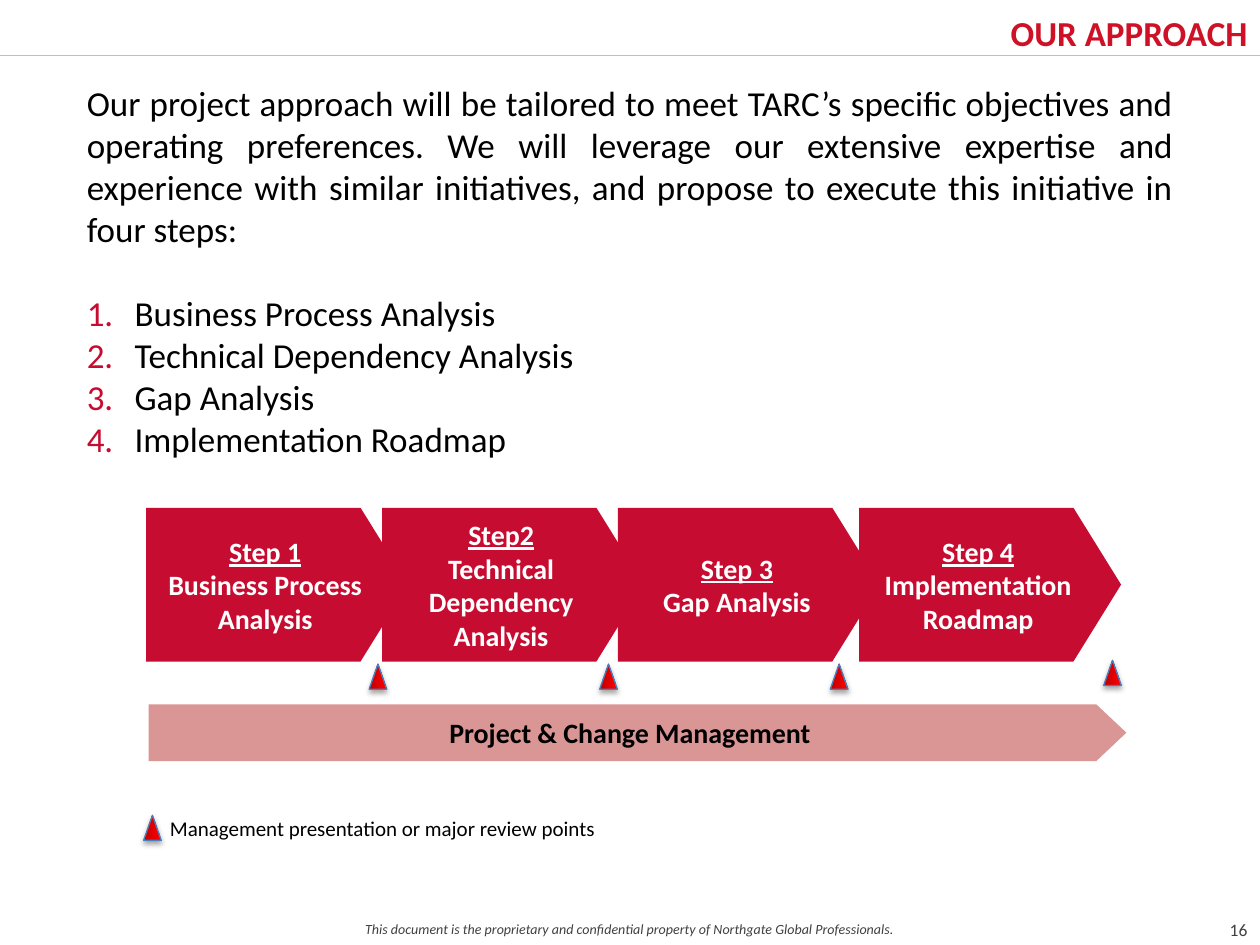
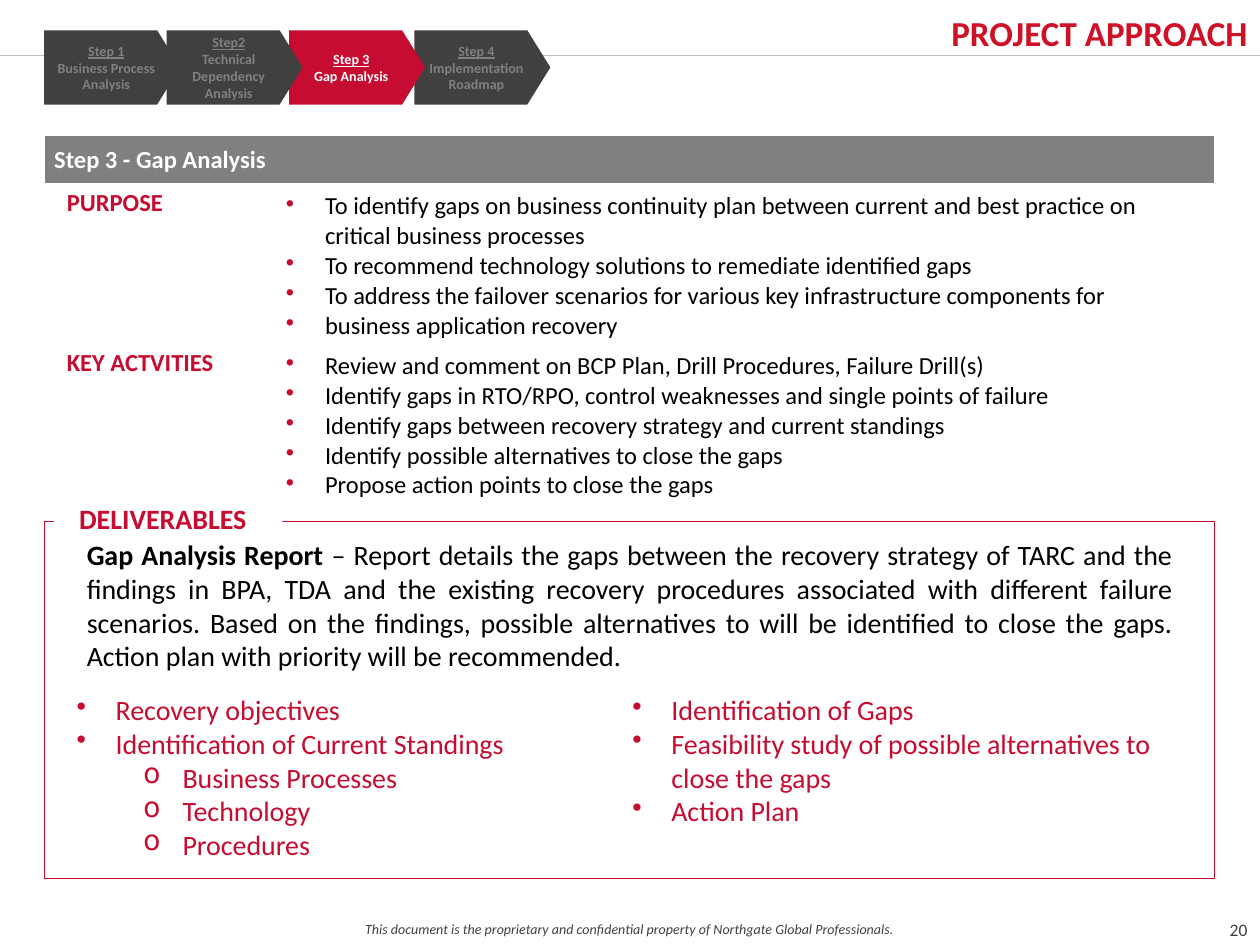
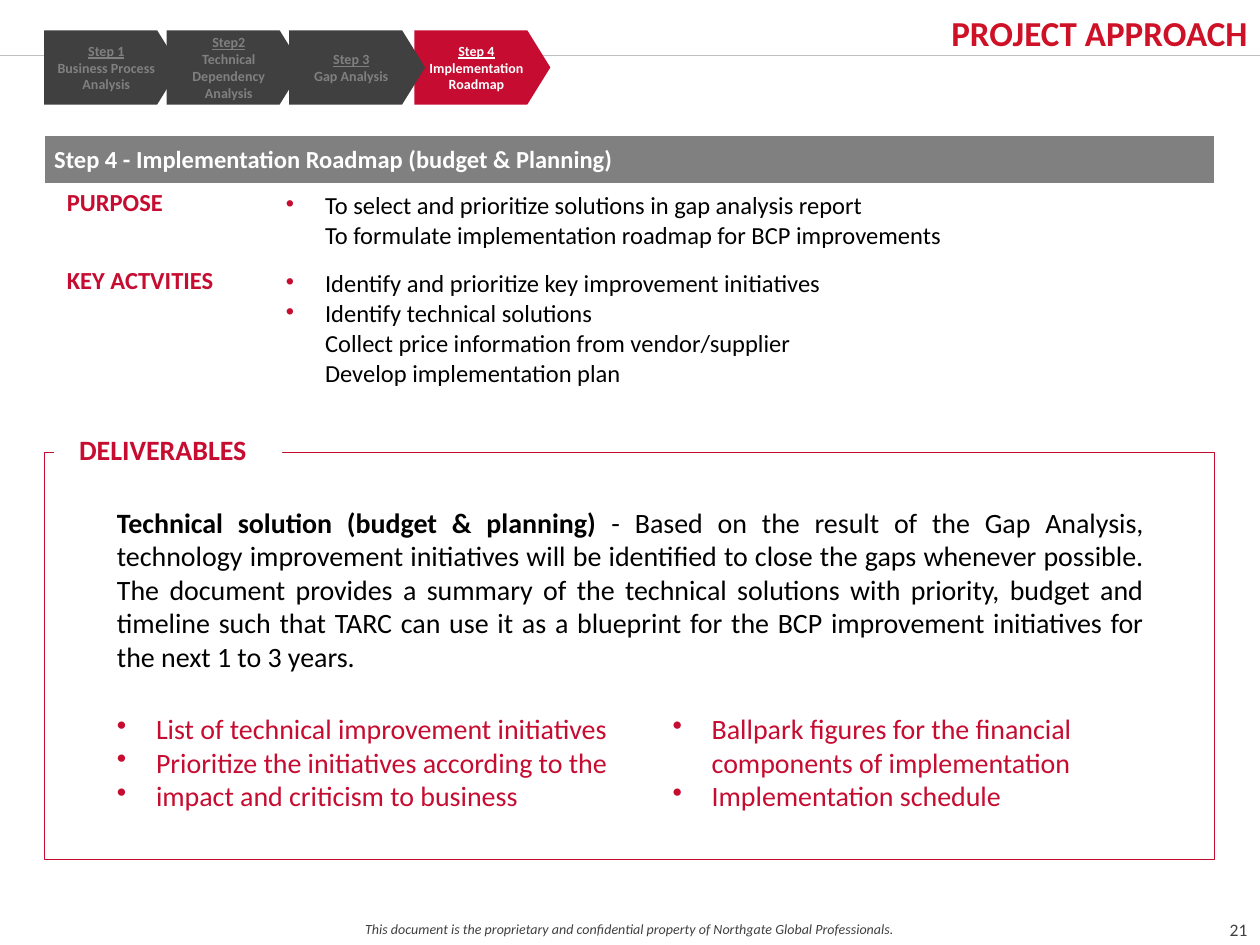
from dataclasses import dataclass

import pptx
import pptx.dml.color
import pptx.enum.shapes
import pptx.enum.text
import pptx.oxml
import pptx.oxml.ns
import pptx.util
from lxml import etree

SHAPE = pptx.enum.shapes.MSO_SHAPE
ALIGN = pptx.enum.text.PP_ALIGN
ANCHOR = pptx.enum.text.MSO_ANCHOR
qn = pptx.oxml.ns.qn
Inches, Pt = pptx.util.Inches, pptx.util.Pt


@dataclass(frozen=True)
class Theme:
    font: str = "Calibri"
    red: str = "C60C30"
    title_red: str = "CE1126"
    pale_red: str = "D99694"
    marker: tuple = ("C00000", "FF0000")
    marker_edge: str = "4B7EBC"
    black: str = "000000"
    white: str = "FFFFFF"
    dark: str = "404040"
    grey: str = "808080"
    rule: str = "BFBFBF"
    large: int = 20
    body: int = 16
    table: int = 14
    legend: int = 12
    page: int = 10
    small: int = 8


THEME = Theme()
WIDTH, HEIGHT = 10, 7.5
MARGIN = 0.35
HANG = 0.31

FOOTER = ("This document is the proprietary and confidential property of "
          "Northgate Global Professionals.")
STEPS = [
    ("Step 1", "Business Process Analysis"),
    ("Step2", "Technical Dependency Analysis"),
    ("Step 3", "Gap Analysis"),
    ("Step 4", "Implementation Roadmap"),
]
STEP_OFFSETS = (0, 0.9, 1.8, 2.72)  # in plate widths
PLATE_POINT = 0.31

OVERVIEW = {
    "title": "OUR APPROACH",
    "page": 16,
    "intro": "Our project approach will be tailored to meet TARC’s specific "
             "objectives and operating preferences. We will leverage our extensive "
             "expertise and experience with similar initiatives, and propose to "
             "execute this initiative in four steps:",
    "support": "Project & Change Management",
    "legend": "Management presentation or major review points",
    "reviews": [(2.93, 5.27), (4.76, 5.27), (6.59, 5.27), (8.76, 5.24)],
    "legend_marker": (1.14, 6.47),
}

DETAILS = [
    {
        "title": "PROJECT APPROACH",
        "page": 20,
        "step": 2,
        "heading": "Step 3 - Gap Analysis",
        "rows": [
            ("PURPOSE", 1.17, [
                "To identify gaps on business continuity plan between current and "
                "best practice on critical business processes",
                "To recommend technology solutions to remediate identified gaps",
                "To address the failover scenarios for various key infrastructure "
                "components for",
                "business application recovery",
            ]),
            ("KEY ACTVITIES", 1.33, [
                "Review and comment on BCP Plan, Drill Procedures, Failure Drill(s)",
                "Identify gaps in RTO/RPO, control weaknesses and single points of "
                "failure",
                "Identify gaps between recovery strategy and current standings",
                "Identify possible alternatives to close the gaps",
                "Propose action points to close the gaps",
            ]),
        ],
        "frame": (4.14, 2.83),
        "summary_box": (0.59, 4.22, 8.82, 1.18),
        "summary": (
            "Gap Analysis Report ",
            "– Report details the gaps between the recovery strategy of TARC and "
            "the findings in BPA, TDA and the existing recovery procedures "
            "associated with different failure scenarios. Based on the findings, "
            "possible alternatives to will be identified to close the gaps. Action "
            "plan with priority will be recommended."),
        "lists_box": (0.51, 5.45, 4.49, 1.45),
        "lists": [
            [(0, "Recovery objectives"), (0, "Identification of Current Standings"),
             (1, "Business Processes"), (1, "Technology"), (1, "Procedures")],
            [(0, "Identification of Gaps"),
             (0, "Feasibility study of possible alternatives to close the gaps"),
             (0, "Action Plan")],
        ],
    },
    {
        "title": "PROJECT APPROACH",
        "page": 21,
        "step": 3,
        "heading": "Step 4 - Implementation Roadmap (budget & Planning)",
        "rows": [
            ("PURPOSE", 0.62, [
                "To select and prioritize solutions in gap analysis report\n"
                "To formulate implementation roadmap for BCP improvements",
            ]),
            ("KEY ACTVITIES", 1.02, [
                "Identify and prioritize key improvement initiatives",
                "Identify technical solutions\n"
                "Collect price information from vendor/supplier\n"
                "Develop implementation plan",
            ]),
        ],
        "frame": (3.59, 3.23),
        "summary_box": (0.83, 3.96, 8.35, 1.45),
        "summary": (
            "Technical solution (budget & planning) ",
            "- Based on the result of the Gap Analysis, technology improvement "
            "initiatives will be identified to close the gaps whenever possible. "
            "The document provides a summary of the technical solutions with "
            "priority, budget and timeline such that TARC can use it as a blueprint "
            "for the BCP improvement initiatives for the next 1 to 3 years."),
        "lists_box": (0.83, 5.6, 4.25, 0.91),
        "lists": [
            [(0, "List of technical improvement initiatives"),
             (0, "Prioritize the initiatives according to the"),
             (0, "impact and criticism to business")],
            [(0, "Ballpark figures for the financial components of implementation"),
             (0, "Implementation schedule")],
        ],
    },
]
LIST_PITCH = 4.41


def rgb(color):
    return pptx.dml.color.RGBColor.from_string(color)


def inches(*lengths):
    return [Inches(length) for length in lengths]


def add_bullet(paragraph, bullet, indent, hang):
    properties = paragraph._p.get_or_add_pPr()
    properties.set("marL", str(Inches(indent)))
    properties.set("indent", str(-Inches(hang)))
    color = etree.SubElement(properties, qn("a:buClr"))
    etree.SubElement(color, qn("a:srgbClr"), val=THEME.red)
    if bullet == "1.":
        etree.SubElement(properties, qn("a:buAutoNum"), type="arabicPeriod")
    else:
        etree.SubElement(properties, qn("a:buChar"), char=bullet)


def write(frame, text, size, color, bold=False, italic=False, underline=False,
          align=ALIGN.LEFT, bullet=None, indent=HANG, hang=HANG, lead=""):
    """Add one paragraph; lead is its bold opening."""
    paragraph = frame.paragraphs[0]
    if paragraph.runs:
        paragraph = frame.add_paragraph()
    if lead:
        opening = paragraph.add_run()
        opening.text = lead
        opening.font.bold = True
        paragraph.add_run().text = text
    else:
        paragraph.text = text
    paragraph.alignment = align
    if bullet:
        add_bullet(paragraph, bullet, indent, hang)
    font = paragraph.font
    font.name, font.size = THEME.font, Pt(size)
    font.bold, font.italic, font.underline = bold, italic, underline
    font.color.rgb = rgb(color)
    return paragraph


def write_label(frame, text, size):
    """Add a red label on a fixed 15-point line, set in from the left."""
    label = write(frame, text, size, THEME.red, bold=True)
    label.line_spacing = Pt(15)
    label._p.get_or_add_pPr().set("marL", str(Inches(0.1)))


def text_box(slide, box, insets=(0.1, 0.05), anchor=ANCHOR.TOP):
    frame = slide.shapes.add_textbox(*inches(*box)).text_frame
    frame.word_wrap = True
    frame.vertical_anchor = anchor
    frame.margin_left = frame.margin_right = Inches(insets[0])
    frame.margin_top = frame.margin_bottom = Inches(insets[1])
    return frame


def add_shape(slide, preset, box, fill=None, line=None, line_width=0.25):
    shape = slide.shapes.add_shape(preset, *inches(*box))
    shape.shadow.inherit = False
    if fill:
        shape.fill.solid()
        shape.fill.fore_color.rgb = rgb(fill)
    else:
        shape.fill.background()
    if line:
        shape.line.color.rgb = rgb(line)
        shape.line.width = Pt(line_width)
    else:
        shape.line.fill.background()
    return shape


def add_plate(slide, box, fill, point):
    plate = add_shape(slide, SHAPE.PENTAGON, box, fill)
    plate.adjustments[0] = point
    plate.text_frame.word_wrap = True
    plate.text_frame.vertical_anchor = ANCHOR.MIDDLE
    return plate.text_frame


def add_steps(slide, box, size, active=None):
    """Draw the chain of steps from the last to the first; no active step lights all."""
    left, top, width, height = box
    for index in reversed(range(len(STEPS))):
        lit = active in (None, index)
        frame = add_plate(slide, (left + STEP_OFFSETS[index] * width, top, width, height),
                          THEME.red if lit else THEME.dark, PLATE_POINT)
        for text, underline in zip(STEPS[index], (True, False)):
            write(frame, text, size, THEME.white if lit else THEME.grey,
                  bold=True, underline=underline, align=ALIGN.CENTER)


def add_review_marker(slide, left, top):
    marker = add_shape(slide, SHAPE.ISOSCELES_TRIANGLE, (left, top, 0.14, 0.2),
                       line=THEME.marker_edge, line_width=0.75)
    marker.fill.gradient()
    marker.fill.gradient_angle = 0
    for stop, color in zip(marker.fill.gradient_stops, THEME.marker):
        stop.color.rgb = rgb(color)
    effects = marker._element.spPr.find(qn("a:effectLst"))
    shadow = etree.SubElement(effects, qn("a:outerShdw"), blurRad=str(Pt(3.1)),
                              dist=str(Pt(1.8)), dir="5400000", rotWithShape="0")
    color = etree.SubElement(shadow, qn("a:srgbClr"), val=THEME.black)
    etree.SubElement(color, qn("a:alpha"), val="35000")


def new_slide(deck, title, page):
    """Add a slide with the shared footer, page number, rule and title."""
    slide = deck.slides.add_slide(deck.slide_layouts[6])
    write(text_box(slide, (0, 7.26, WIDTH, 0.24)), FOOTER, THEME.small, THEME.dark,
          italic=True, align=ALIGN.CENTER)
    write(text_box(slide, (9.6, 7.16, 0.46, 0.43), anchor=ANCHOR.MIDDLE), str(page),
          THEME.page, THEME.dark, align=ALIGN.CENTER)
    rule = slide.shapes.add_connector(pptx.enum.shapes.MSO_CONNECTOR.STRAIGHT,
                                      *inches(0, 0.44, WIDTH, 0.44))
    rule.line.color.rgb = rgb(THEME.rule)
    rule.line.width = Pt(0.5)
    etree.SubElement(rule._element.spPr, qn("a:effectLst"))
    write(text_box(slide, (4.01, 0.02, WIDTH - 4.01, 0.42), (0.1, 0.07)), title,
          THEME.large, THEME.title_red, bold=True, align=ALIGN.RIGHT)
    return slide


def build_overview(deck, content):
    slide = new_slide(deck, content["title"], content["page"])
    intro = text_box(slide, (0.59, 0.6, 8.82, 3.13))
    write(intro, content["intro"], THEME.large, THEME.black, align=ALIGN.JUSTIFY)
    for index, (_, name) in enumerate(STEPS):
        item = write(intro, name, THEME.large, THEME.black, align=ALIGN.JUSTIFY,
                     bullet="1.", indent=0.38, hang=0.38)
        if index == 0:
            item.space_before = Pt(24)
    write(text_box(slide, (1.25, 6.42, 4.08, 0.3)), content["legend"], THEME.legend,
          THEME.black)
    add_steps(slide, (1.16, 4.03, 2.08, 1.22), THEME.body)
    write(add_plate(slide, (1.18, 5.59, 7.76, 0.45), THEME.pale_red, 0.53),
          content["support"], THEME.body, THEME.black, bold=True, align=ALIGN.CENTER)
    for place in content["reviews"] + [content["legend_marker"]]:
        add_review_marker(slide, *place)


def format_cell(cell, fill=None, bottom=1):
    cell.margin_left = cell.margin_right = Inches(0.08)
    cell.margin_top = cell.margin_bottom = Inches(0.05)
    properties = cell._tc.get_or_add_tcPr()
    for side, width in (("L", 1), ("R", 1), ("T", 1), ("B", bottom)):
        border = etree.SubElement(properties, qn("a:ln" + side), w=str(Pt(width)))
        paint = etree.SubElement(border, qn("a:solidFill"))
        etree.SubElement(paint, qn("a:srgbClr"), val=THEME.white)
    if fill:
        cell.fill.solid()
        cell.fill.fore_color.rgb = rgb(fill)
    else:
        cell.fill.background()


def add_step_table(slide, heading, rows):
    heights = [0.4] + [height for _, height, _ in rows]
    table = slide.shapes.add_table(
        len(heights), 2, *inches(MARGIN, 1.07, 9.29, sum(heights))).table
    table.first_row = table.horz_banding = False
    for column, width in zip(table.columns, (1.84, 7.45)):
        column.width = Inches(width)
    for row, height in zip(table.rows, heights):
        row.height = Inches(height)

    banner = table.cell(0, 0)
    banner.merge(table.cell(0, 1))
    for cell in table.rows[0].cells:
        format_cell(cell, THEME.grey, bottom=3)
    banner.vertical_anchor = ANCHOR.MIDDLE
    write(banner.text_frame, heading, THEME.table, THEME.white, bold=True)

    for index, (label, _, points) in enumerate(rows, start=1):
        topic, detail = table.cell(index, 0), table.cell(index, 1)
        format_cell(topic)
        format_cell(detail, THEME.white)
        write_label(topic.text_frame, label, THEME.table)
        for point in points:
            write(detail.text_frame, point, THEME.table, THEME.black, bullet="•")


def add_deliverables(slide, content):
    top, height = content["frame"]
    add_shape(slide, SHAPE.RECTANGLE, (MARGIN, top, 9.29, height), line=THEME.red)
    label = add_shape(slide, SHAPE.RECTANGLE, (0.43, top - 0.15, 1.81, 0.32), THEME.white)
    label.text_frame.vertical_anchor = ANCHOR.TOP
    write_label(label.text_frame, "DELIVERABLES", THEME.body)

    lead, summary = content["summary"]
    write(text_box(slide, content["summary_box"]), summary, THEME.body, THEME.black,
          align=ALIGN.JUSTIFY, lead=lead)
    left, *rest = content["lists_box"]
    for column, items in enumerate(content["lists"]):
        frame = text_box(slide, (left + column * LIST_PITCH, *rest))
        for level, text in items:
            item = write(frame, text, THEME.body, THEME.red, bullet="•o"[level],
                         indent=(HANG, 0.84)[level])
            item.level = level


def build_detail(deck, content):
    slide = new_slide(deck, content["title"], content["page"])
    add_steps(slide, (MARGIN, 0.24, 1.08, 0.59), THEME.small, content["step"])
    add_step_table(slide, content["heading"], content["rows"])
    add_deliverables(slide, content)


def main():
    deck = pptx.Presentation()
    deck.slide_width, deck.slide_height = inches(WIDTH, HEIGHT)
    build_overview(deck, OVERVIEW)
    for content in DETAILS:
        build_detail(deck, content)
    deck.save("out.pptx")


if __name__ == "__main__":
    main()
